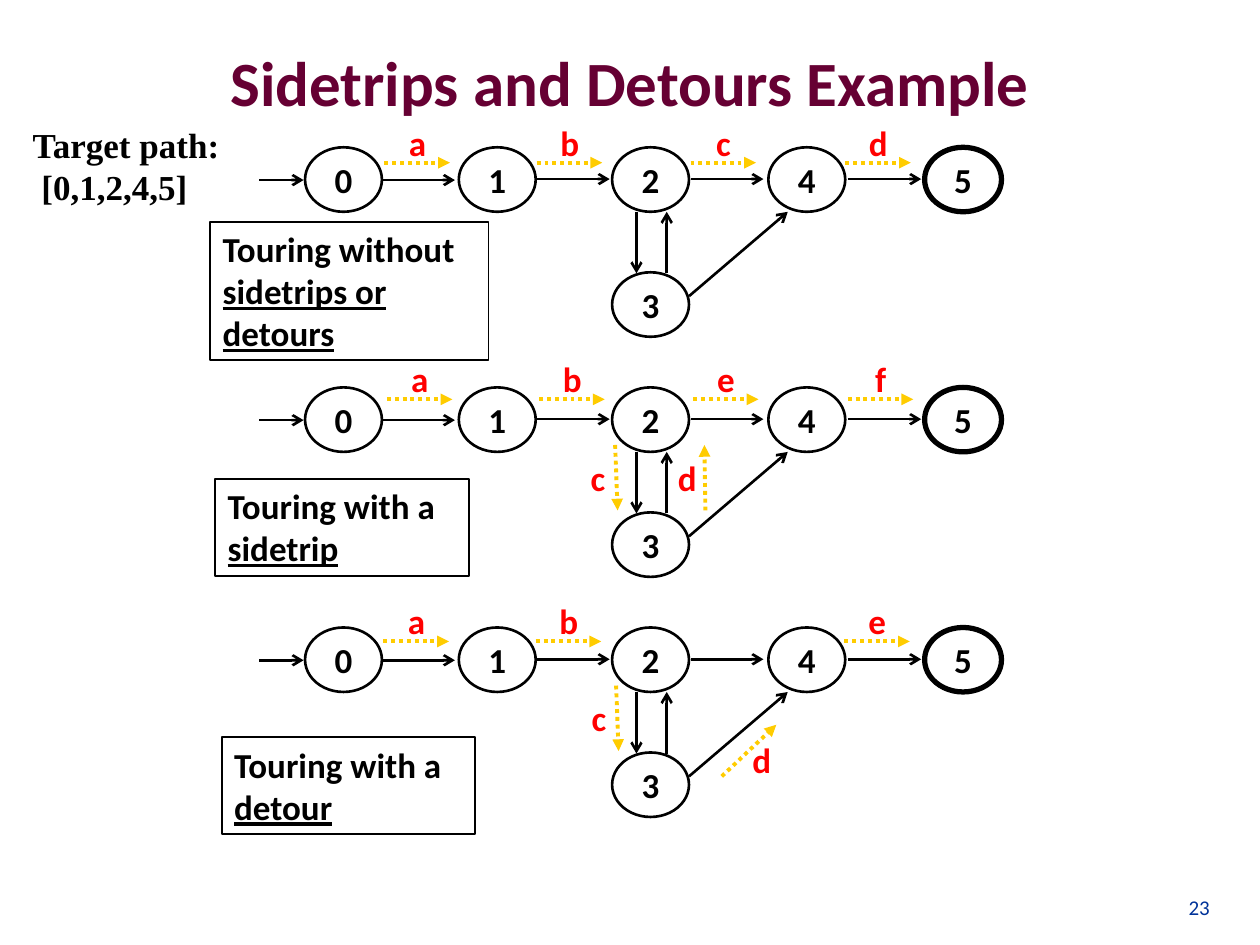
from lxml import etree
from pptx import Presentation
from pptx.dml.color import RGBColor
from pptx.enum.dml import MSO_LINE
from pptx.enum.shapes import MSO_CONNECTOR, MSO_SHAPE
from pptx.enum.text import MSO_ANCHOR, PP_ALIGN
from pptx.oxml.ns import qn
from pptx.util import Cm, Pt

STRAIGHT = MSO_CONNECTOR.STRAIGHT
OVAL, RECTANGLE = MSO_SHAPE.OVAL, MSO_SHAPE.RECTANGLE
TOP, MIDDLE, BOTTOM = MSO_ANCHOR.TOP, MSO_ANCHOR.MIDDLE, MSO_ANCHOR.BOTTOM
LEFT, CENTER, RIGHT = PP_ALIGN.LEFT, PP_ALIGN.CENTER, PP_ALIGN.RIGHT
DOTTED = MSO_LINE.ROUND_DOT

COLORS = {
    "title": "660033",
    "page": "003399",
    "ink": "000000",
    "step": "FFCC00",
    "label": "FF0000",
}

# All lengths are in cm; graph coordinates are relative to the top of its row.
ROW_TOP, ROW_PITCH = 2.97, 4.84
NODE_W, NODE_H = 1.55, 1.3
NODES = {
    "0": (6.15, 0),
    "1": (9.25, 0),
    "2": (12.34, 0),
    "3": (12.34, 2.52),
    "4": (15.49, 0),
    "5": (18.64, 0),
}
FINAL_NODE = "5"
EDGES = [
    (5.23, 0.66, 6.12, 0.66),
    (7.7, 0.66, 9.17, 0.66),
    (10.82, 0.64, 12.29, 0.64),
    (13.92, 0.64, 15.39, 0.64),
    (17.09, 0.64, 18.57, 0.64),
    (12.83, 1.3, 12.83, 2.54),
    (13.44, 2.54, 13.44, 1.3),
    (13.89, 3, 15.88, 1.3),
]
STEP_STARTS = [7.75, 10.82, 13.92, 17.04]
STEP_LENGTH = 1.32
LABEL_W, LABEL_H = 0.99, 1.09

# Per tour: labels above the edges, their x shift and y, then
# (label, arrow ends, label corner) for steps off the main line, then caption.
TOURS = [
    {
        "labels": ["a", "b", "c", "d"], "shift": 0, "y": 0.31,
        "side_steps": [],
        "caption": ("Touring without ", "sidetrips or detours"),
        "box": (4.24, 4.47, 5.61, 2.79),
    },
    {
        "labels": ["a", "b", "e", "f"], "shift": 0.05, "y": 0.24,
        "side_steps": [
            ("c", (12.4, 1.16, 12.45, 2.48), (11.56, 1.26)),
            ("d", (14.22, 2.48, 14.2, 1.16), (13.36, 1.26)),
        ],
        "caption": ("Touring with a ", "sidetrip"),
        "box": (4.34, 9.65, 5.11, 1.96),
    },
    {
        "labels": ["a", "b", None, "e"], "shift": -0.02, "y": 0.28,
        "side_steps": [
            ("c", (12.42, 1.17, 12.47, 2.49), (11.58, 1.27)),
            ("d", (14.55, 3, 15.65, 1.96), (14.86, 2.11)),
        ],
        "caption": ("Touring with a ", "detour"),
        "box": (4.47, 14.86, 5.11, 1.96),
    },
]


def rgb(name):
    return RGBColor.from_string(COLORS[name])


def add_run(paragraph, text, size=20, color="ink", font="Calibri", bold=True, underline=None):
    run = paragraph.add_run()
    run.text = text
    run.font.size = Pt(size)
    run.font.name = font
    run.font.bold = bold
    run.font.underline = underline
    run.font.color.rgb = rgb(color)


def first_paragraph(shape, align, anchor=TOP, wrap=True):
    """Set up the text frame of a shape and return its paragraph."""
    frame = shape.text_frame
    frame.word_wrap = wrap
    frame.vertical_anchor = anchor
    paragraph = frame.paragraphs[0]
    paragraph.alignment = align
    return paragraph


def add_text_box(slide, box, align, anchor=TOP, wrap=True):
    text_box = slide.shapes.add_textbox(*map(Cm, box))
    return first_paragraph(text_box, align, anchor, wrap)


def add_outline(slide, kind, box, width):
    outline = slide.shapes.add_shape(kind, *map(Cm, box))
    outline.shadow.inherit = False
    outline.fill.background()
    outline.line.color.rgb = rgb("ink")
    outline.line.width = Pt(width)
    return outline


def add_arrow(slide, ends, color="ink", width=1.5, head="arrow", dash=None):
    arrow = slide.shapes.add_connector(STRAIGHT, *map(Cm, ends))
    arrow.line.color.rgb = rgb(color)
    arrow.line.width = Pt(width)
    if dash:
        arrow.line.dash_style = dash
    etree.SubElement(arrow.line._get_or_add_ln(), qn("a:tailEnd"), type=head)
    etree.SubElement(arrow._element.spPr, qn("a:effectLst"))


def add_node(slide, name, top):
    x, y = NODES[name]
    width = 3 if name == FINAL_NODE else 1.5
    node = add_outline(slide, OVAL, (x, top + y, NODE_W, NODE_H), width)
    add_run(first_paragraph(node, CENTER, MIDDLE, wrap=False), name)


def add_step(slide, label, ends, corner, top):
    """Add a dotted arrow and its letter."""
    x1, y1, x2, y2 = ends
    add_arrow(slide, (x1, top + y1, x2, top + y2), "step", 2.25, "triangle", DOTTED)
    x, y = corner
    letter = add_text_box(slide, (x, top + y, LABEL_W, LABEL_H), CENTER)
    add_run(letter, label, color="label")


def add_graph(slide, top):
    for name in NODES:
        add_node(slide, name, top)
    for x1, y1, x2, y2 in EDGES:
        add_arrow(slide, (x1, top + y1, x2, top + y2))


def add_tour(slide, tour, top):
    add_graph(slide, top)
    y = tour["y"]
    for label, start in zip(tour["labels"], STEP_STARTS):
        if label:
            x = start + tour["shift"]
            add_step(slide, label, (x, y, x + STEP_LENGTH, y), (x + 0.17, y - 0.96), top)
    for label, ends, corner in tour["side_steps"]:
        add_step(slide, label, ends, corner, top)

    lead, kind = tour["caption"]
    caption = first_paragraph(add_outline(slide, RECTANGLE, tour["box"], 1), LEFT)
    add_run(caption, lead)
    add_run(caption, kind, underline=True)


def main():
    presentation = Presentation()
    presentation.slide_width, presentation.slide_height = Cm(25.4), Cm(19.05)
    slide = presentation.slides.add_slide(presentation.slide_layouts[6])

    title = add_text_box(slide, (1.27, 0.05, 22.86, 3.18), CENTER, MIDDLE)
    add_run(title, "Sidetrips and Detours Example", 36, "title")
    page = add_text_box(slide, (22.89, 17.35, 1.75, 1.32), RIGHT, BOTTOM)
    add_run(page, "23", 12, "page", bold=False)

    for row, tour in enumerate(TOURS):
        add_tour(slide, tour, ROW_TOP + row * ROW_PITCH)

    target = add_text_box(slide, (0.41, 2.36, 4.29, 1.96), LEFT, wrap=False)
    add_run(target, "Target path:", font="Times New Roman")
    target.add_line_break()
    add_run(target, " [0,1,2,4,5]", font="Times New Roman")

    presentation.save("out.pptx")


if __name__ == "__main__":
    main()
